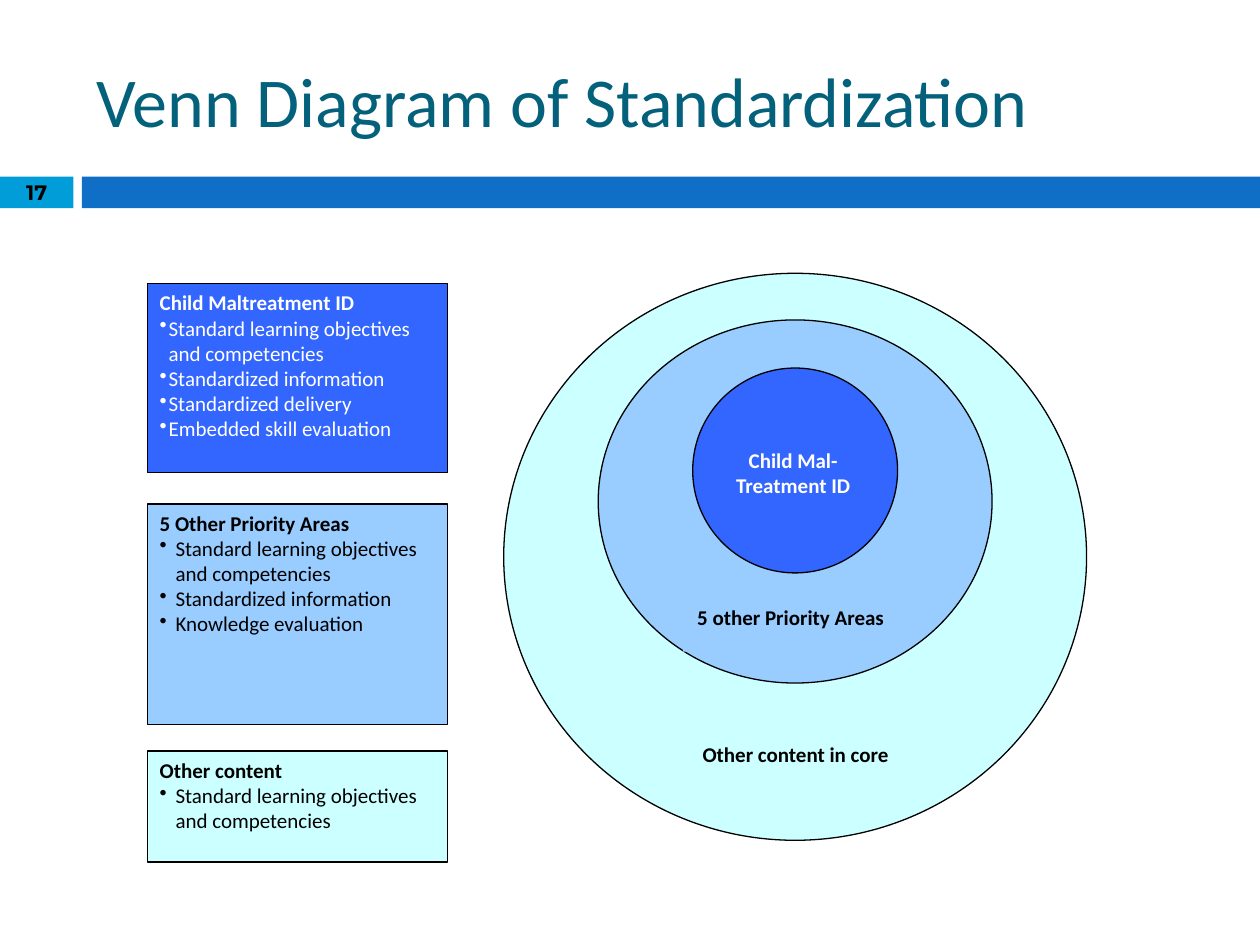
from dataclasses import dataclass

import pptx
import pptx.dml.color
import pptx.enum.shapes
import pptx.enum.text
import pptx.oxml
import pptx.oxml.ns
import pptx.util
from pptx.util import Cm, Pt

COLORS = {
    "title": "04617B", "accent": "009DD9", "bar": "0F6FC6",
    "core": "3366FF", "priority": "99CCFF", "other": "CCFFFF",
    "black": "000000", "white": "FFFFFF",
}
RECTANGLE = pptx.enum.shapes.MSO_SHAPE.RECTANGLE
OVAL = pptx.enum.shapes.MSO_SHAPE.OVAL
ALIGN = pptx.enum.text.PP_ALIGN
ANCHOR = pptx.enum.text.MSO_ANCHOR
BOX_LEFT, BOX_WIDTH = 2.97, 6.05
CIRCLE_CENTER = 16.03


@dataclass
class Area:
    left: float
    top: float
    width: float
    height: float

    def lengths(self) -> tuple:
        return Cm(self.left), Cm(self.top), Cm(self.width), Cm(self.height)


@dataclass
class LegendBox:
    top: float
    height: float
    fill: str
    heading: str
    bullets: list[str]
    ink: str = "black"
    indent: float = 0.32
    line_width: float = 0.75


@dataclass
class Circle:
    top: float
    width: float
    height: float
    fill: str


@dataclass
class Label:
    area: Area
    fill: str
    lines: list[str]
    ink: str = "black"


LEGEND_BOXES = [
    LegendBox(5.72, 3.81, "core", "Child Maltreatment ID",
              ["Standard learning objectives and competencies", "Standardized information",
               "Standardized delivery", "Embedded skill evaluation"],
              ink="white", indent=0.18, line_width=0),
    LegendBox(10.16, 4.45, "priority", "5 Other Priority Areas",
              ["Standard learning objectives and competencies", "Standardized information",
               "Knowledge evaluation"]),
    LegendBox(15.14, 2.24, "other", "Other content",
              ["Standard learning objectives and competencies"]),
]
CIRCLES = [
    Circle(5.51, 11.75, 11.43, "other"),
    Circle(6.45, 7.94, 7.32, "priority"),
    Circle(7.42, 4.13, 4.13, "core"),
]
LABELS = [
    Label(Area(14.4, 8.89, 3.18, 1.7), "core", ["Child Mal-", "Treatment ID"], "white"),
    Label(Area(13.77, 12.07, 4.34, 1.07), "priority", ["5 other Priority Areas"]),
    Label(Area(13.34, 14.82, 5.4, 1.07), "other", ["Other content in core"]),
]


def color(name: str) -> pptx.dml.color.RGBColor:
    return pptx.dml.color.RGBColor.from_string(COLORS[name])


def add_filled_shape(slide, kind, area: Area, fill: str, line_width: float | None = None):
    """Draw a flat shape; it has an outline only when a line width is given."""
    shape = slide.shapes.add_shape(kind, *area.lengths())
    shape.shadow.inherit = False
    shape.fill.solid()
    shape.fill.fore_color.rgb = color(fill)
    if line_width is None:
        shape.line.fill.background()
    else:
        shape.line.color.rgb = color("black")
        shape.line.width = Pt(line_width)
    return shape


def write_lines(shape, lines: list[str], ink: str, size: float = 12, name: str = "Calibri",
                bold: bool = True, alignment=ALIGN.LEFT, anchor=ANCHOR.TOP) -> list:
    """Write one paragraph per line and return the paragraphs."""
    frame = shape.text_frame
    frame.word_wrap = True
    frame.vertical_anchor = anchor
    frame.text = "\n".join(lines)
    font_format = {"size": Pt(size), "name": name, "bold": bold}
    for paragraph in frame.paragraphs:
        paragraph.alignment = alignment
        font = paragraph.runs[0].font
        font.color.rgb = color(ink)
        for attribute, value in font_format.items():
            setattr(font, attribute, value)
    return list(frame.paragraphs)


def set_hanging_indent(paragraph, indent: float, bullet: bool) -> None:
    properties = paragraph._p.get_or_add_pPr()
    properties.set("marL", str(Cm(indent)))
    properties.set("indent", str(-Cm(indent)))
    if bullet:
        mark = pptx.oxml.parse_xml(f'<a:buChar {pptx.oxml.ns.nsdecls("a")} char="•"/>')
        properties.append(mark)


def draw_legend_box(slide, box: LegendBox) -> None:
    area = Area(BOX_LEFT, box.top, BOX_WIDTH, box.height)
    shape = add_filled_shape(slide, RECTANGLE, area, box.fill, box.line_width)
    paragraphs = write_lines(shape, [box.heading, *box.bullets], box.ink)
    for index, paragraph in enumerate(paragraphs):
        is_bullet = index > 0
        set_hanging_indent(paragraph, box.indent, is_bullet)
        paragraph.runs[0].font.bold = not is_bullet


def draw_circle(slide, circle: Circle) -> None:
    left = CIRCLE_CENTER - circle.width / 2
    area = Area(left, circle.top, circle.width, circle.height)
    add_filled_shape(slide, OVAL, area, circle.fill, 0.75)


def draw_label(slide, label: Label) -> None:
    shape = add_filled_shape(slide, RECTANGLE, label.area, label.fill)
    write_lines(shape, label.lines, label.ink, alignment=ALIGN.CENTER)


def draw_header(slide) -> None:
    # Bars under the title
    add_filled_shape(slide, RECTANGLE, Area(0, 3.56, 1.48, 0.64), "accent")
    add_filled_shape(slide, RECTANGLE, Area(1.65, 3.56, 23.75, 0.64), "bar")

    # Title
    title = slide.shapes.add_textbox(*Area(1.7, 0.64, 22.66, 2.74).lengths())
    write_lines(title, ["Venn Diagram of Standardization"], "title", size=40,
                bold=False, anchor=ANCHOR.MIDDLE)

    # Slide number
    number = slide.shapes.add_textbox(*Area(0, 3.53, 1.48, 0.69).lengths())
    for side in ("left", "top", "right", "bottom"):
        setattr(number.text_frame, f"margin_{side}", 0)
    write_lines(number, ["17"], "black", size=11.9, name="Montserrat",
                alignment=ALIGN.CENTER, anchor=ANCHOR.MIDDLE)


def main() -> None:
    presentation = pptx.Presentation()
    presentation.slide_width = Cm(25.4)
    presentation.slide_height = Cm(19.05)
    slide = presentation.slides.add_slide(presentation.slide_layouts[6])

    draw_header(slide)
    # Legend on the left
    for box in LEGEND_BOXES:
        draw_legend_box(slide, box)
    # Nested circles, outermost first, then their labels
    for circle in CIRCLES:
        draw_circle(slide, circle)
    for label in LABELS:
        draw_label(slide, label)

    presentation.save("out.pptx")


if __name__ == "__main__":
    main()
